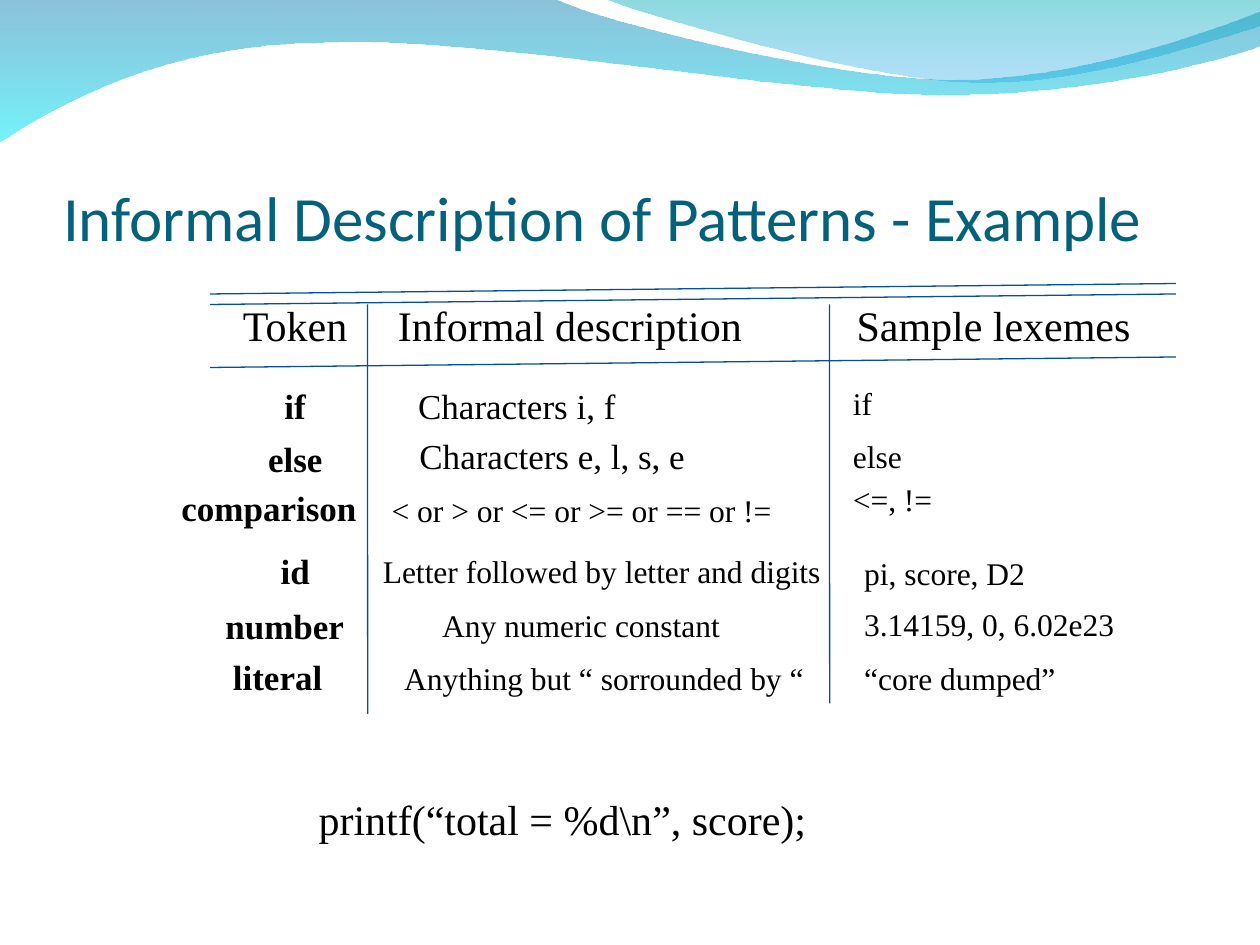
from dataclasses import dataclass

from lxml import etree
from pptx import Presentation
from pptx.dml.color import RGBColor
from pptx.enum.shapes import MSO_CONNECTOR
from pptx.enum.text import MSO_ANCHOR, MSO_AUTO_SIZE, PP_ALIGN
from pptx.oxml.ns import qn
from pptx.util import Inches, Pt

STRAIGHT = MSO_CONNECTOR.STRAIGHT
BOTTOM = MSO_ANCHOR.BOTTOM
FIT_SHAPE = MSO_AUTO_SIZE.SHAPE_TO_FIT_TEXT
LEFT = PP_ALIGN.LEFT


@dataclass(frozen=True)
class Theme:
    title_font: str = "Calibri"
    body_font: str = "Times New Roman"
    title_color: str = "04617B"
    text_color: str = "000000"
    rule_color: str = "065093"
    title_size: int = 36
    heading_size: int = 24
    token_size: int = 20
    detail_size: int = 18
    rule_width: float = 0.75
    wide_wave: tuple = (("0079AF", 45), ("00EBF8", 55))
    right_wave: tuple = (("00ADB6", 45), ("009BE5", 30))


THEME = Theme()
GRID = Inches(1) / 12
LINE_HEIGHTS = {24: 0.5, 20: 0.44, 18: 0.4}

WIDE_WAVE = [
    [(0, -0.01)],
    [(4.4, -0.01)],
    [(4.76, 0.17), (6.64, 0.63), (7.58, 0.63)],
    [(8.53, 0.63), (9.58, 0.26), (10, 0.09)],
    [(10.01, 0.36)],
    [(9.83, 0.44), (8.7, 0.76), (7.46, 0.75)],
    [(6.22, 0.75), (3.82, 0.28), (2.57, 0.34)],
    [(1.29, 0.35), (0.46, 0.83), (-0.01, 1.13)],
]
RIGHT_WAVE = [
    [(4.79, -0.01)],
    [(5.09, 0.11), (6.82, 0.62), (7.69, 0.65)],
    [(8.56, 0.69), (9.61, 0.32), (10, 0.21)],
    [(10, 0)],
]

RULES = [
    (20, 28, 112, 27),
    (20, 29, 112, 28),
    (20, 35, 112, 34),
    (35, 29, 35.02, 68),
    (79, 29, 79.02, 67),
]

HEADINGS = [
    ("Token", 1.83, 2.33, 1.05),
    ("Informal description", 3.06, 2.33, 2.93),
    ("Sample lexemes", 6.7, 2.33, 2.39),
]
TOKENS = [
    ("if", 2.16, 3, 0.37),
    ("else", 2.03, 3.42, 0.63),
    ("comparison", 1.34, 3.81, 1.59),
    ("id", 2.13, 4.31, 0.43),
    ("number", 1.69, 4.75, 1.14),
    ("literal", 1.75, 5.15, 0.91),
]
CHARACTER_PATTERNS = [
    ("Characters i, f", 3.22, 3, 1.77),
    ("Characters e, l, s, e", 3.23, 3.4, 2.31),
]
PATTERNS = [
    ("< or > or <= or >= or == or !=", 3.01, 3.85, 3.22),
    ("Letter followed by letter and digits", 2.94, 4.33, 3.68),
    ("Any numeric constant", 3.41, 4.76, 2.41),
    ("Anything but “ sorrounded by “", 3.11, 5.18, 3.37),
]
LEXEMES = [
    ("if", 6.67, 3, 0.35),
    ("else", 6.67, 3.42, 0.59),
    ("<=, !=", 6.67, 3.76, 0.83),
    ("pi, score, D2", 6.76, 4.35, 1.48),
    ("3.14159, 0, 6.02e23", 6.76, 4.75, 2.2),
    ("“core dumped”", 6.76, 5.18, 1.72),
]
STATEMENT = [(r"printf(“total = %d\n”, score);", 2.43, 6.25, 4.07)]


def style_text(paragraph, font_name, size, color, bold=False):
    for run in paragraph.runs:
        run.font.name = font_name
        run.font.size = Pt(size)
        run.font.bold = bold
        run.font.color.rgb = RGBColor.from_string(color)


def bend_edges(wave, segments):
    edges = list(wave._element.iter(qn("a:lnTo")))
    for edge, segment in zip(edges, segments[1:]):
        if len(segment) == 1:
            continue
        curve = etree.Element(qn("a:cubicBezTo"))
        for x, y in segment:
            etree.SubElement(
                curve,
                qn("a:pt"),
                x=str(Inches(x) - wave.left),
                y=str(Inches(y) - wave.top),
            )
        edge.getparent().replace(edge, curve)


def add_wave(slide, segments, colors):
    corners = [tuple(Inches(length) for length in segment[-1]) for segment in segments]
    builder = slide.shapes.build_freeform(*corners[0])
    builder.add_line_segments(corners[1:], close=True)
    wave = builder.convert_to_shape()
    bend_edges(wave, segments)
    wave.shadow.inherit = False
    wave.line.fill.background()
    wave.fill.gradient()
    wave.fill.gradient_angle = 270
    for position, (stop, (color, opacity)) in enumerate(
        zip(wave.fill.gradient_stops, colors)
    ):
        stop.position = position
        stop.color.rgb = RGBColor.from_string(color)
    tints = wave._element.spPr.iter(qn("a:srgbClr"))
    for tint, (color, opacity) in zip(tints, colors):
        etree.SubElement(tint, qn("a:alpha"), val=str(opacity * 1000))


def add_title(slide, text):
    title = slide.shapes.title
    title.left, title.top = Inches(0.5), Inches(0.77)
    title.width, title.height = Inches(9), Inches(1.25)
    frame = title.text_frame
    frame.text = text
    frame.vertical_anchor = BOTTOM
    frame.margin_left = frame.margin_right = frame.margin_bottom = 0
    frame.margin_top = Inches(0.05)
    frame.paragraphs[0].alignment = LEFT
    style_text(
        frame.paragraphs[0], THEME.title_font, THEME.title_size, THEME.title_color
    )


def add_rule(slide, ends):
    rule = slide.shapes.add_connector(STRAIGHT, *(round(end * GRID) for end in ends))
    rule.line.color.rgb = RGBColor.from_string(THEME.rule_color)
    rule.line.width = Pt(THEME.rule_width)
    etree.SubElement(rule._element.spPr, qn("a:effectLst"))


def add_entries(slide, entries, size, bold=False):
    for text, left, top, width in entries:
        entry = slide.shapes.add_textbox(
            Inches(left), Inches(top), Inches(width), Inches(LINE_HEIGHTS[size])
        )
        frame = entry.text_frame
        frame.text = text
        frame.word_wrap = False
        frame.auto_size = FIT_SHAPE
        style_text(
            frame.paragraphs[0], THEME.body_font, size, THEME.text_color, bold
        )


def main():
    deck = Presentation()
    deck.slide_width, deck.slide_height = Inches(10), Inches(7.5)
    slide = deck.slides.add_slide(deck.slide_layouts[5])
    add_wave(slide, WIDE_WAVE, THEME.wide_wave)
    add_wave(slide, RIGHT_WAVE, THEME.right_wave)
    add_title(slide, "Informal Description of Patterns - Example")
    for ends in RULES:
        add_rule(slide, ends)
    add_entries(slide, HEADINGS, THEME.heading_size)
    add_entries(slide, TOKENS, THEME.token_size, bold=True)
    add_entries(slide, CHARACTER_PATTERNS, THEME.token_size)
    add_entries(slide, PATTERNS, THEME.detail_size)
    add_entries(slide, LEXEMES, THEME.detail_size)
    add_entries(slide, STATEMENT, THEME.heading_size)
    deck.save("out.pptx")


if __name__ == "__main__":
    main()
